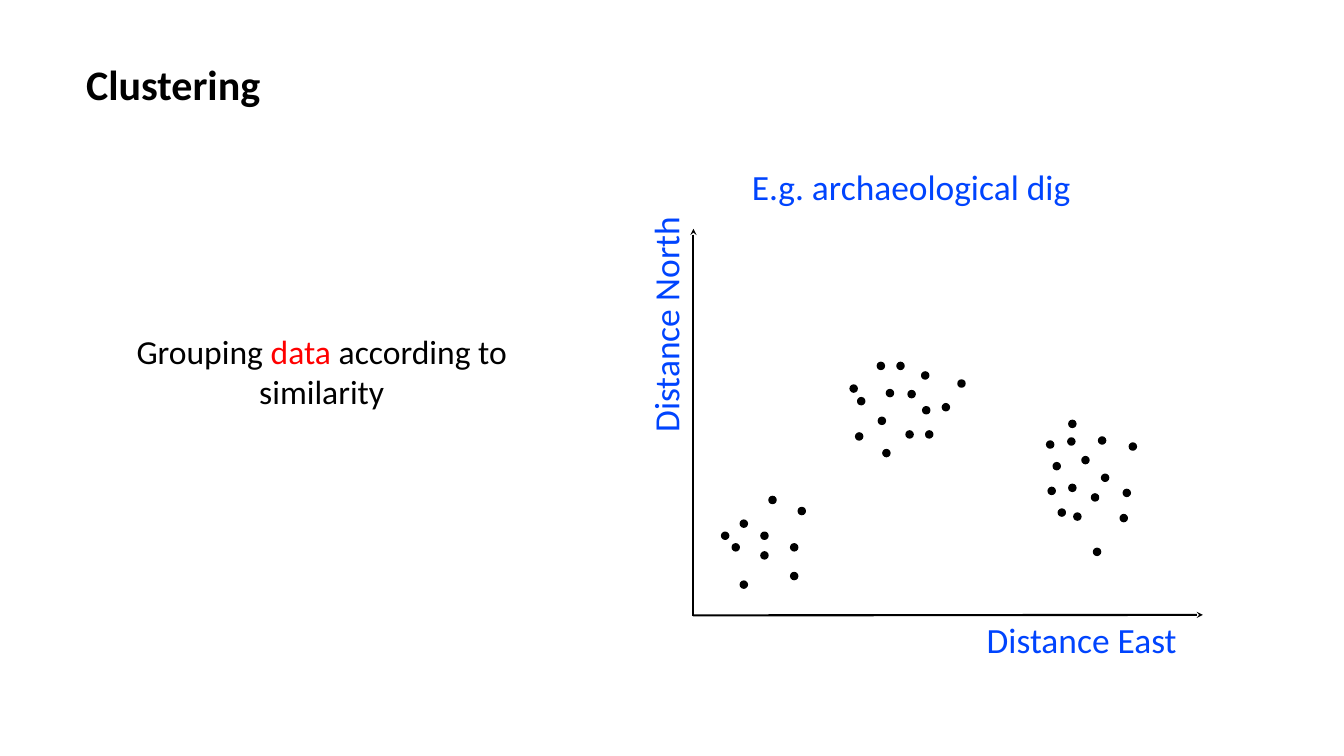
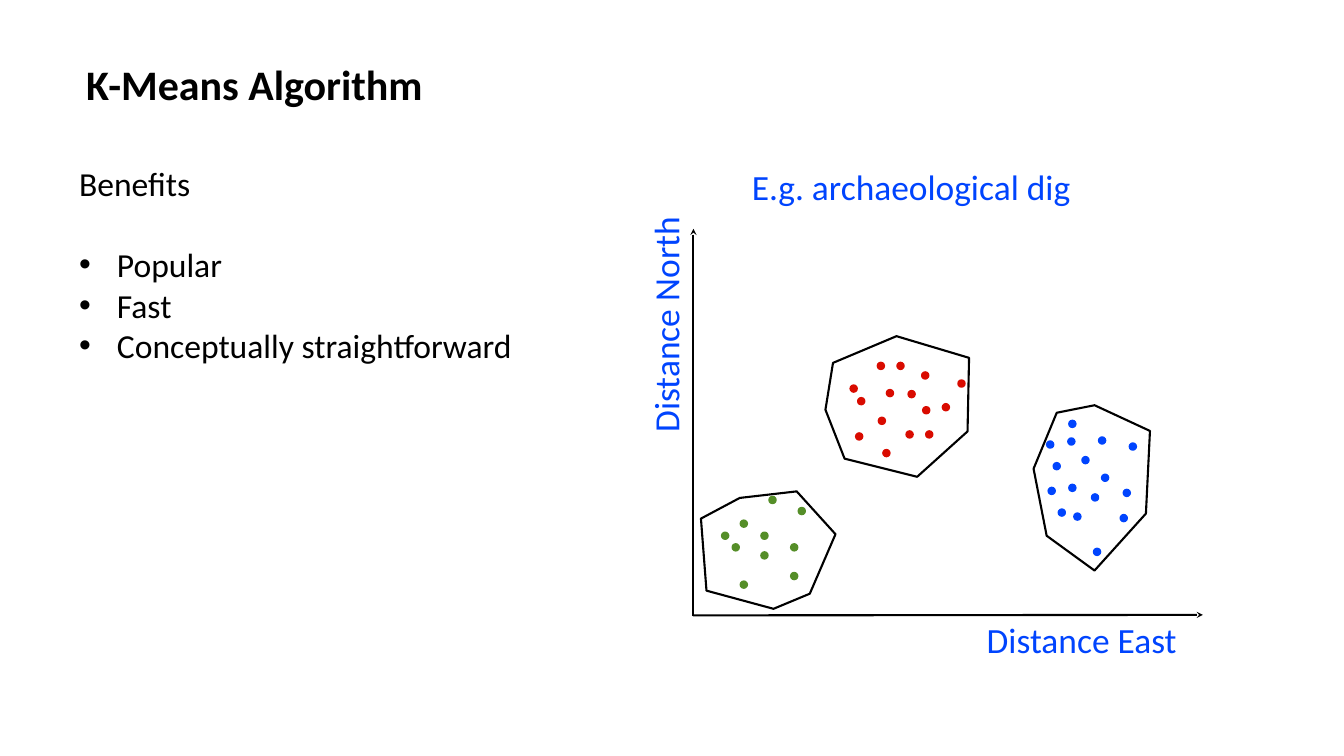
from lxml.etree import SubElement
from pptx import Presentation
from pptx.dml.color import RGBColor
from pptx.enum.shapes import MSO_CONNECTOR, MSO_SHAPE
from pptx.enum.text import MSO_ANCHOR, PP_ALIGN
from pptx.oxml.ns import qn
from pptx.util import Inches, Pt

BLACK = RGBColor(0x00, 0x00, 0x00)
BLUE = RGBColor(0x00, 0x44, 0xFE)
RED = RGBColor(0xFF, 0x00, 0x00)
CRIMSON = RGBColor(0xD9, 0x0B, 0x00)
GREEN = RGBColor(0x55, 0x8E, 0x28)

FONT = "Calibri"
TITLE_SIZE, BODY_SIZE, LABEL_SIZE = 60, 48, 50.6
DOT = 0.14

# Top left corners of the dots in each cluster
NORTH = [
    (17.41, 7.19), (18.02, 7.75), (16.87, 7.64), (17.02, 7.89), (17.59, 7.73),
    (17.8, 7.19), (17.43, 8.28), (17.98, 8.55), (18.31, 8.07), (18.29, 7.38),
    (16.98, 8.59), (17.52, 8.92), (18.7, 8.01), (18.37, 8.55), (19.01, 7.54),
]
WEST = [
    (14.32, 10.56), (14.69, 10.32), (14.53, 10.79), (15.1, 10.56), (15.1, 10.95),
    (15.69, 10.79), (14.69, 11.53), (15.69, 11.36), (15.26, 9.85), (15.84, 10.07),
]
EAST = [
    (21.21, 8.34), (21.19, 8.69), (20.77, 8.75), (21.8, 8.67), (21.47, 9.06),
    (20.9, 9.18), (21.86, 9.41), (21.21, 9.61), (20.8, 9.67), (21, 10.1),
    (21.66, 9.8), (22.29, 9.71), (21.31, 10.18), (22.23, 10.21), (22.41, 8.79),
    (21.7, 10.88),
]
HULLS = [
    [(17.79, 6.67), (16.53, 7.2), (16.38, 8.13), (16.76, 9.1), (18.2, 9.46),
     (19.2, 8.56), (19.23, 7.1)],
    [(15.81, 9.75), (16.58, 10.6), (16.07, 11.78), (15.35, 12.08), (14.02, 11.72),
     (13.91, 10.29), (14.68, 9.88)],
    [(20.51, 9.3), (20.77, 10.63), (21.72, 11.32), (22.74, 10.19), (22.82, 8.55),
     (21.72, 8.04), (20.97, 8.19)],
]


class Deck:
    def __init__(self):
        self.prs = Presentation()
        self.prs.slide_width = Inches(26.67)
        self.prs.slide_height = Inches(15)
        self.slide = None

    def page(self, title):
        self.slide = self.prs.slides.add_slide(self.prs.slide_layouts[6])
        self.text(title, 1.71, 1.11, 19.04, 1.11, TITLE_SIZE, bold=True)

    def frame(self, x, y, w, h, anchor=MSO_ANCHOR.MIDDLE, turn=0):
        box = self.slide.shapes.add_textbox(Inches(x), Inches(y), Inches(w), Inches(h))
        box.rotation = turn
        frame = box.text_frame
        frame.word_wrap = True
        frame.vertical_anchor = anchor
        frame.margin_left = frame.margin_right = 0
        frame.margin_top = frame.margin_bottom = 0
        return frame

    def style(self, run, size, color=BLACK, bold=False):
        run.font.name = FONT
        run.font.size = Pt(size)
        run.font.bold = bold
        run.font.color.rgb = color

    def text(self, words, x, y, w, h, size, color=BLACK, bold=False, turn=0):
        frame = self.frame(x, y, w, h, turn=turn)
        frame.text = words
        self.style(frame.paragraphs[0].runs[0], size, color, bold)

    def label(self, words, x, y, w, turn=0):
        self.text(words, x, y, w, 0.96, LABEL_SIZE, BLUE, turn=turn)

    def phrase(self, parts, x, y, w, h):
        """Centre one paragraph made of (words, colour) parts."""
        para = self.frame(x, y, w, h).paragraphs[0]
        para.alignment = PP_ALIGN.CENTER
        for words, color in parts:
            run = para.add_run()
            run.text = words
            self.style(run, BODY_SIZE, color)

    def bullets(self, head, items, x, y, w, h):
        frame = self.frame(x, y, w, h, MSO_ANCHOR.TOP)
        frame.text = "\n".join([head, *items])
        first, *rest = frame.paragraphs
        first.space_after = Pt(58.6)
        for para in rest:
            props = para._p.get_or_add_pPr()
            props.set("marL", str(Inches(0.75)))
            props.set("indent", str(-Inches(0.75)))
            SubElement(props, qn("a:buFont"), typeface="Arial")
            SubElement(props, qn("a:buChar"), char="•")
        for para in frame.paragraphs:
            self.style(para.runs[0], BODY_SIZE)

    def axis(self, tip, end):
        """Draw a line with its arrowhead at tip."""
        line = self.slide.shapes.add_connector(
            MSO_CONNECTOR.STRAIGHT, *map(Inches, (*tip, *end)))
        line.line.color.rgb = BLACK
        line.line.width = Pt(3)
        SubElement(line.line._get_or_add_ln(), qn("a:headEnd"), type="stealth")
        SubElement(line._element.spPr, qn("a:effectLst"))

    def dots(self, spots, color):
        for x, y in spots:
            dot = self.slide.shapes.add_shape(
                MSO_SHAPE.OVAL, Inches(x), Inches(y), Inches(DOT), Inches(DOT))
            dot.shadow.inherit = False
            dot.fill.solid()
            dot.fill.fore_color.rgb = color
            dot.line.color.rgb = color
            dot.line.width = Pt(2)

    def hull(self, points):
        start, *rest = [(Inches(x), Inches(y)) for x, y in points]
        pen = self.slide.shapes.build_freeform(*start)
        pen.add_line_segments(rest, close=True)
        shape = pen.convert_to_shape()
        shape.shadow.inherit = False
        shape.fill.background()
        shape.line.color.rgb = BLACK
        shape.line.width = Pt(3)

    def plot(self, north, west, east):
        """Draw the dig map, with one colour for each cluster."""
        self.axis((13.76, 4.54), (13.76, 12.22))
        self.axis((23.87, 12.2), (13.75, 12.21))
        self.label("Distance East", 19.58, 12.2, 8.94)
        self.label("Distance North", 10.52, 5.42, 5.36, turn=270)
        self.label("E.g. archaeological dig", 14.92, 3.22, 13.24)
        self.dots(NORTH, north)
        self.dots(WEST, west)
        self.dots(EAST, east)


def main():
    deck = Deck()

    deck.page("Clustering")
    deck.phrase(
        [("Grouping ", BLACK), ("data ", RED), ("according to similarity", BLACK)],
        1.57, 6.42, 9.63, 1.88)
    deck.plot(BLACK, BLACK, BLACK)

    deck.page("K-Means Algorithm")
    deck.bullets("Benefits", ["Popular", "Fast", "Conceptually straightforward"],
                 1.57, 3.23, 9.63, 8.99)
    deck.plot(CRIMSON, GREEN, BLUE)
    for points in HULLS:
        deck.hull(points)

    deck.prs.save("out.pptx")


if __name__ == "__main__":
    main()
